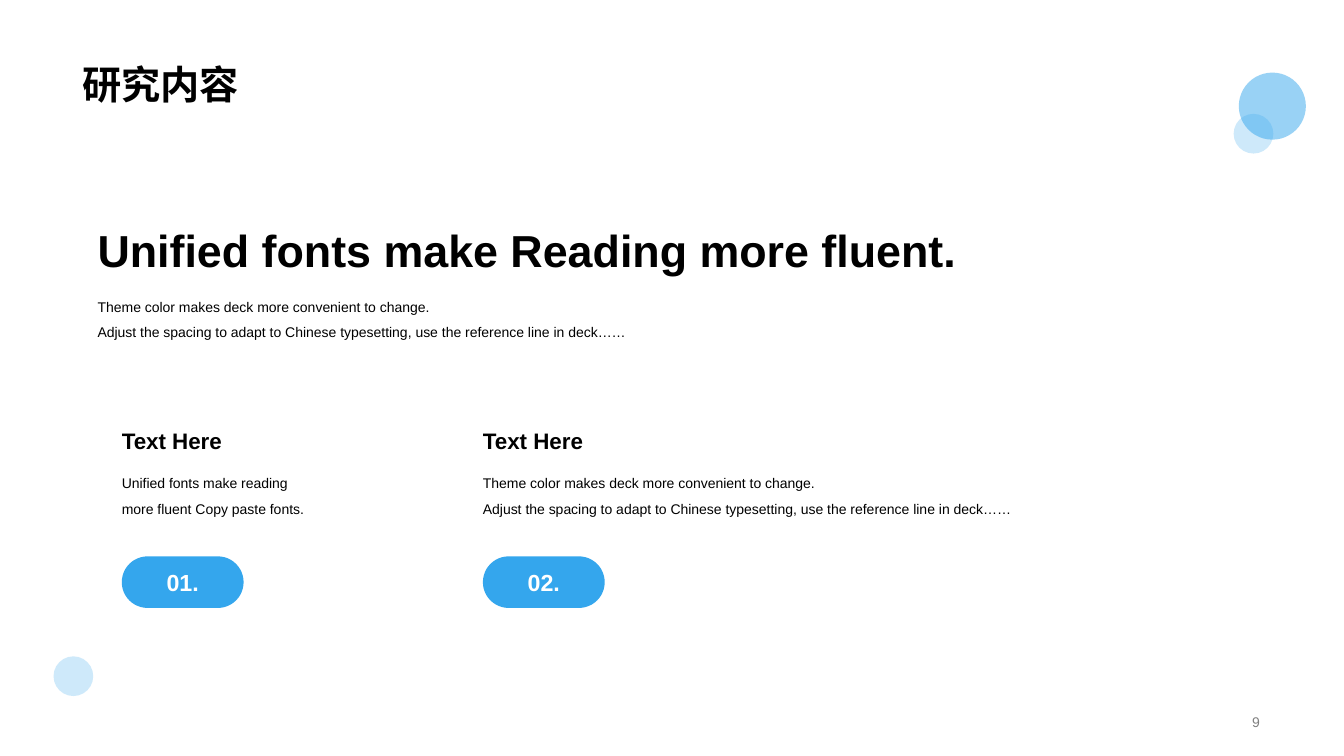
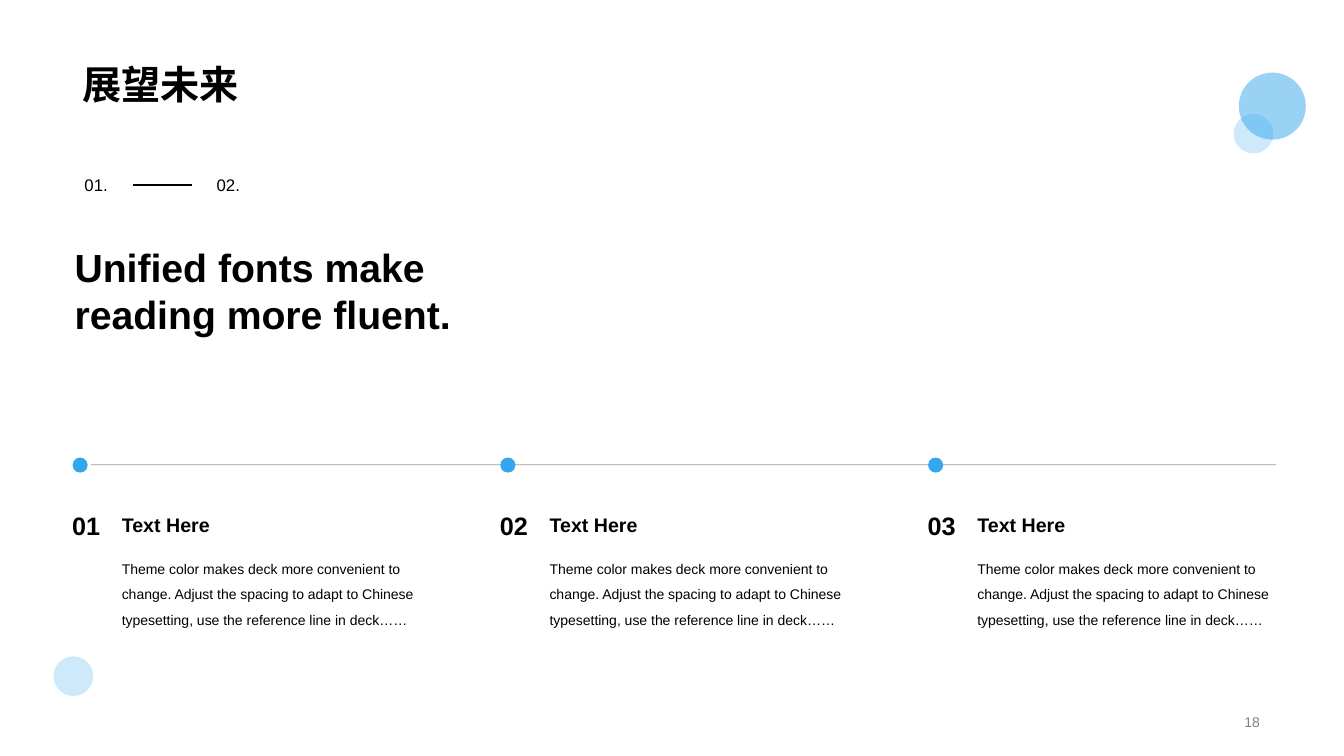
from dataclasses import dataclass

from pptx import Presentation
from pptx import util as u
from pptx.dml.color import RGBColor
from pptx.enum import shapes, text
from pptx.oxml import ns, xmlchemy

BLUE = RGBColor(0x34, 0xA6, 0xED)
SKY = RGBColor(0x85, 0xCA, 0xF4)
BLACK = RGBColor(0, 0, 0)
GREY = RGBColor(0x80, 0x80, 0x80)
WHITE = RGBColor(0xFF, 0xFF, 0xFF)
FONT = "Arial"

TOP, MID, LOW = text.MSO_ANCHOR.TOP, text.MSO_ANCHOR.MIDDLE, text.MSO_ANCHOR.BOTTOM
LEFT, MIDST, RIGHT = text.PP_ALIGN.LEFT, text.PP_ALIGN.CENTER, text.PP_ALIGN.RIGHT
OVAL = shapes.MSO_SHAPE.OVAL
PILL = shapes.MSO_SHAPE.ROUNDED_RECTANGLE


@dataclass(frozen=True)
class Box:
    """Place and size in centimetres."""
    x: float
    y: float
    w: float
    h: float

    def shift(self, dx: float) -> "Box":
        return Box(self.x + dx, self.y, self.w, self.h)

    def cm(self) -> list:
        return [u.Cm(n) for n in (self.x, self.y, self.w, self.h)]


@dataclass(frozen=True)
class Style:
    size: float
    bold: bool = False
    color: RGBColor = BLACK
    anchor: text.MSO_ANCHOR = TOP
    align: text.PP_ALIGN = LEFT
    space: float = 1.0


@dataclass(frozen=True)
class Disc:
    box: Box
    color: RGBColor
    alpha: int


@dataclass(frozen=True)
class Card:
    mark: str
    body: str
    width: float


# Shared styles and decoration
TITLE = Style(28, True, anchor=LOW, space=0.9)
PAGE = Style(10, color=GREY, anchor=MID, align=RIGHT)
BODY = Style(10, space=1.5)
DISCS = (
    Disc(Box(31.09, 2.87, 1, 1), SKY, 40),
    Disc(Box(31.22, 1.83, 1.69, 1.69), BLUE, 50),
    Disc(Box(1.35, 16.54, 1, 1), SKY, 40),
)

# Wording used more than once
HEAD = "Text Here"
THEME = "Theme color makes deck more convenient to change."
SPACING = ("Adjust the spacing to adapt to Chinese typesetting, "
           "use the reference line in deck……")


def write(frame, words: str, style: Style) -> None:
    frame.text = words
    frame.vertical_anchor = style.anchor
    for para in frame.paragraphs:
        para.alignment = style.align
        para.line_spacing = style.space
        for run in para.runs:
            run.font.name = FONT
            run.font.size = u.Pt(style.size)
            run.font.bold = style.bold
            run.font.color.rgb = style.color


def label(slide, box: Box, words: str, style: Style, wrap: bool = True) -> None:
    frame = slide.shapes.add_textbox(*box.cm()).text_frame
    frame.word_wrap = wrap
    write(frame, words, style)


def fade(shape, alpha: int) -> None:
    for color in shape.element.spPr.iter(ns.qn("a:srgbClr")):
        part = xmlchemy.OxmlElement("a:alpha")
        part.set("val", str(alpha * 1000))
        color.append(part)


def block(slide, kind: shapes.MSO_SHAPE, box: Box, color: RGBColor):
    shape = slide.shapes.add_shape(kind, *box.cm())
    shape.shadow.inherit = False
    shape.fill.solid()
    shape.fill.fore_color.rgb = color
    shape.line.fill.background()
    return shape


def rule(slide, start: float, end: float, y: float, width: float):
    line = slide.shapes.add_connector(
        shapes.MSO_CONNECTOR.STRAIGHT, u.Cm(start), u.Cm(y), u.Cm(end), u.Cm(y))
    line.line.color.rgb = BLACK
    line.line.width = u.Pt(width)
    line.element.spPr.append(xmlchemy.OxmlElement("a:effectLst"))
    return line


def base(deck, title: str, page: int):
    slide = deck.slides.add_slide(deck.slide_layouts[6])
    for disc in DISCS:
        fade(block(slide, OVAL, disc.box, disc.color), disc.alpha)
    label(slide, Box(1.83, 0, 30.18, 2.84), title, TITLE)
    label(slide, Box(24.61, 17.88, 7.39, 0.61), str(page), PAGE)
    return slide


def topics(deck) -> None:
    slide = base(deck, "研究内容", 9)
    pair = f"{THEME}\n{SPACING}"

    # Headline
    label(slide, Box(2.21, 5.18, 30.18, 1.9),
          "Unified fonts make Reading more fluent.", Style(32, True, anchor=LOW))
    label(slide, Box(2.21, 7.19, 30.18, 1.45), pair, BODY)

    # Numbered cards
    cards = (
        Card("01.", "Unified fonts make reading\nmore fluent Copy paste fonts.", 5.46),
        Card("02.", pair, 16.94),
    )
    for i, card in enumerate(cards):
        dx = i * 9.1
        label(slide, Box(2.82, 10.62, 4.95, 0.94).shift(dx), HEAD,
              Style(16, True, anchor=MID))
        label(slide, Box(2.82, 11.63, card.width, 1.45).shift(dx), card.body, BODY)
        pill = block(slide, PILL, Box(3.07, 14.02, 3.07, 1.3).shift(dx), BLUE)
        pill.adjustments[0] = 0.5
        write(pill.text_frame, card.mark, Style(16.6, True, WHITE, MID, MIDST))


def future(deck) -> None:
    slide = base(deck, "展望未来", 18)

    # Section marker
    rule(slide, 3.35, 4.83, 4.67, 1.25)
    for x, mark in ((1.88, "01."), (5.21, "02.")):
        label(slide, Box(x, 4.29, 1.12, 0.76), mark, Style(12), wrap=False)

    # Headline
    label(slide, Box(1.63, 5.99, 12.09, 2.64),
          "Unified fonts make\nreading more fluent.", Style(28, True, anchor=LOW))

    # Timeline
    fade(rule(slide, 2.29, 32.16, 11.71, 0.5), 40)
    for i in range(3):
        dx = i * 10.78
        block(slide, OVAL, Box(1.83, 11.53, 0.38, 0.38).shift(dx), BLUE)
        label(slide, Box(1.57, 12.73, 1.24, 1.02).shift(dx), f"{i + 1:02}",
              Style(18, True))
        label(slide, Box(2.82, 12.67, 7.85, 1.09).shift(dx), HEAD,
              Style(14, True, anchor=MID))
        label(slide, Box(2.82, 13.79, 7.85, 2.11).shift(dx),
              f"{THEME} {SPACING}", BODY)


def main() -> None:
    deck = Presentation()
    deck.slide_width, deck.slide_height = u.Cm(33.87), u.Cm(19.05)
    topics(deck)
    future(deck)
    deck.save("out.pptx")


if __name__ == "__main__":
    main()
